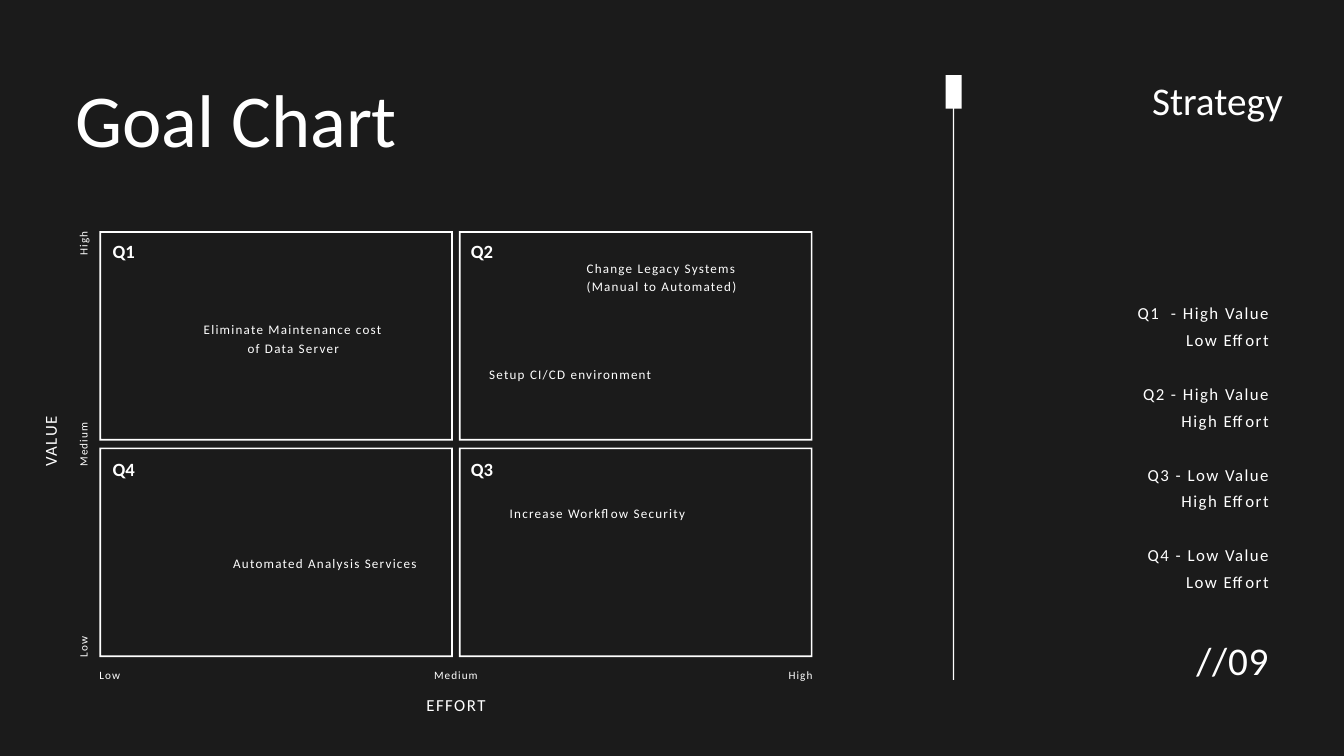
from pptx import Presentation
from pptx.dml.color import RGBColor
from pptx.enum.shapes import MSO_SHAPE as Shape
from pptx.enum.text import MSO_ANCHOR as Anchor, MSO_AUTO_SIZE as AutoSize, PP_ALIGN as Align
from pptx.util import Cm, Pt

COLORS = {"background": "1B1B1B", "ink": "FFFFFF"}
FONT = "Calibri"
TEXT_W = 7.29

# Quadrant grid, in cm
GRID_X, GRID_Y = 3.76, 8.74
CELL_W, CELL_H = 13.36, 7.92
STEP_X, STEP_Y = 13.59, 8.18
QUADRANTS = [["Q1", "Q2"], ["Q4", "Q3"]]

# Text, left, top, width, height
GOALS = [
    ("Change Legacy Systems (Manual to Automated)", 21.36, 9.75, TEXT_W, 1.35),
    ("Setup CI/CD environment", 17.91, 13.74, TEXT_W, 0.66),
    ("Increase Workflow Security", 18.42, 19.02, 8.33, 0.66),
    ("Eliminate Maintenance cost of Data Server", 7.44, 12.07, TEXT_W, 1.35),
    ("Automated Analysis Services", 8.64, 20.9, TEXT_W, 1.35),
]
SCALE = [("Low", Align.LEFT), ("Medium", Align.CENTER), ("High", Align.RIGHT)]
LEGEND = [
    ("Q1  - High Value", "Low Effort"),
    ("Q2 - High Value", "High Effort"),
    ("Q3 - Low Value", "High Effort"),
    ("Q4 - Low Value", "Low Effort"),
]


def rgb(name):
    return RGBColor.from_string(COLORS[name])


def place(shape, left, top, width, height):
    shape.left, shape.top = Cm(left), Cm(top)
    shape.width, shape.height = Cm(width), Cm(height)


def write(frame, *lines, size, align=Align.LEFT, leading=None, spacing=0,
          bold=False, wrap=True, inset=True, group=0):
    """Fill a frame with lines; group parts them into blocks of that many lines."""
    frame.auto_size = AutoSize.NONE
    frame.word_wrap = wrap
    frame.vertical_anchor = Anchor.TOP
    if not inset:
        frame.margin_left = frame.margin_right = 0
        frame.margin_top = frame.margin_bottom = 0
    for i, line in enumerate(lines):
        paragraph = frame.paragraphs[0] if i == 0 else frame.add_paragraph()
        paragraph.alignment = align
        if leading:
            paragraph.line_spacing = Pt(leading)
        if group and i and i % group == 0:
            paragraph.space_before = Pt(leading)
        run = paragraph.add_run()
        run.text = line
        run.font.name, run.font.size, run.font.bold = FONT, Pt(size), bold
        run.font.color.rgb = rgb("ink")
        if spacing:
            run.font._element.set("spc", str(round(spacing * 100)))


def add_text(slide, box, *lines, rotation=0, inset=False, **style):
    label = slide.shapes.add_textbox(0, 0, 0, 0)
    place(label, *box)
    label.rotation = rotation
    write(label.text_frame, *lines, inset=inset, **style)


def add_block(slide, kind, *box):
    block = slide.shapes.add_shape(kind, 0, 0, 0, 0)
    place(block, *box)
    block.shadow.inherit = False
    block.fill.solid()
    block.fill.fore_color.rgb = rgb("ink")
    block.line.fill.background()
    return block


def add_quadrant(slide, name, column, row):
    border = add_block(slide, Shape.FRAME, GRID_X + column * STEP_X,
                       GRID_Y + row * STEP_Y, CELL_W, CELL_H)
    border.adjustments[0] = 0.008
    add_text(slide, (4.01 + column * 13.54, 8.94 + row * 8.26, 1.37, 1.12), name,
             size=20, bold=True, wrap=False, inset=True)


def add_axes(slide):
    tick = dict(size=12, leading=16.8, spacing=1.1)
    for i, (level, align) in enumerate(SCALE):
        add_text(slide, (GRID_X + i * 9.83, 25.17, TEXT_W, 0.53), level,
                 align=align, **tick)
        add_text(slide, (-0.56, 20.93 - i * 4.41, TEXT_W, 0.56), level,
                 align=align, rotation=270, **tick)
    name = dict(size=18, leading=25.2, spacing=1.6, align=Align.CENTER)
    add_text(slide, (-1.83, 16.26, TEXT_W, 0.86), "VALUE", rotation=270, **name)
    add_text(slide, (13.59, 26.14, TEXT_W, 0.86), "EFFORT", **name)


def add_sidebar(slide):
    add_block(slide, Shape.RECTANGLE, 36.02, 2.84, 0.05, 22.86)
    add_block(slide, Shape.RECTANGLE, 35.74, 2.84, 0.61, 1.27)
    add_text(slide, (39.27, 2.74, 9.22, 1.85), "Strategy",
             size=42, leading=54.6, align=Align.RIGHT)
    add_text(slide, (38.74, 11.2, 9.22, 11), *(line for entry in LEGEND for line in entry),
             size=18, leading=28.8, spacing=1.6, align=Align.RIGHT, group=2)
    add_text(slide, (41.68, 23.75, 6.27, 1.98), "//09",
             size=42, leading=58.8, spacing=0.8, align=Align.RIGHT)


def main():
    deck = Presentation()
    deck.slide_width, deck.slide_height = Cm(50.8), Cm(28.58)
    slide = deck.slides.add_slide(deck.slide_layouts[5])
    slide.background.fill.solid()
    slide.background.fill.fore_color.rgb = rgb("background")

    # Title
    title = slide.shapes.title
    place(title, 2.84, 3.05, 29.64, 3.2)
    write(title.text_frame, "Goal Chart", size=80, leading=88, inset=False)

    add_sidebar(slide)

    # Quadrants and the goals in them
    for row, names in enumerate(QUADRANTS):
        for column, name in enumerate(names):
            add_quadrant(slide, name, column, row)
    for goal, *box in GOALS:
        add_text(slide, box, goal, size=14, leading=19.6, spacing=1.3, align=Align.CENTER)

    add_axes(slide)
    deck.save("out.pptx")


if __name__ == "__main__":
    main()
